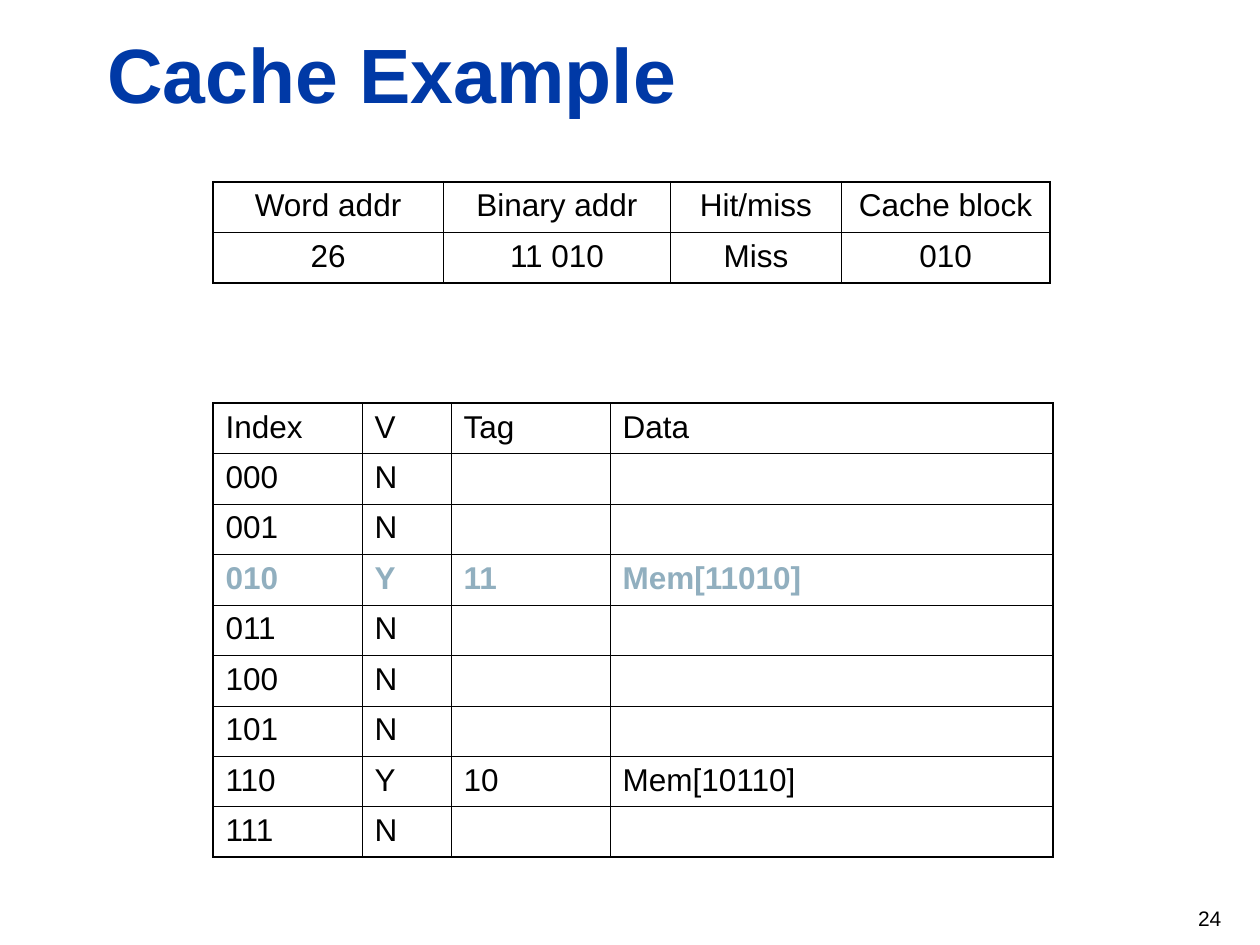
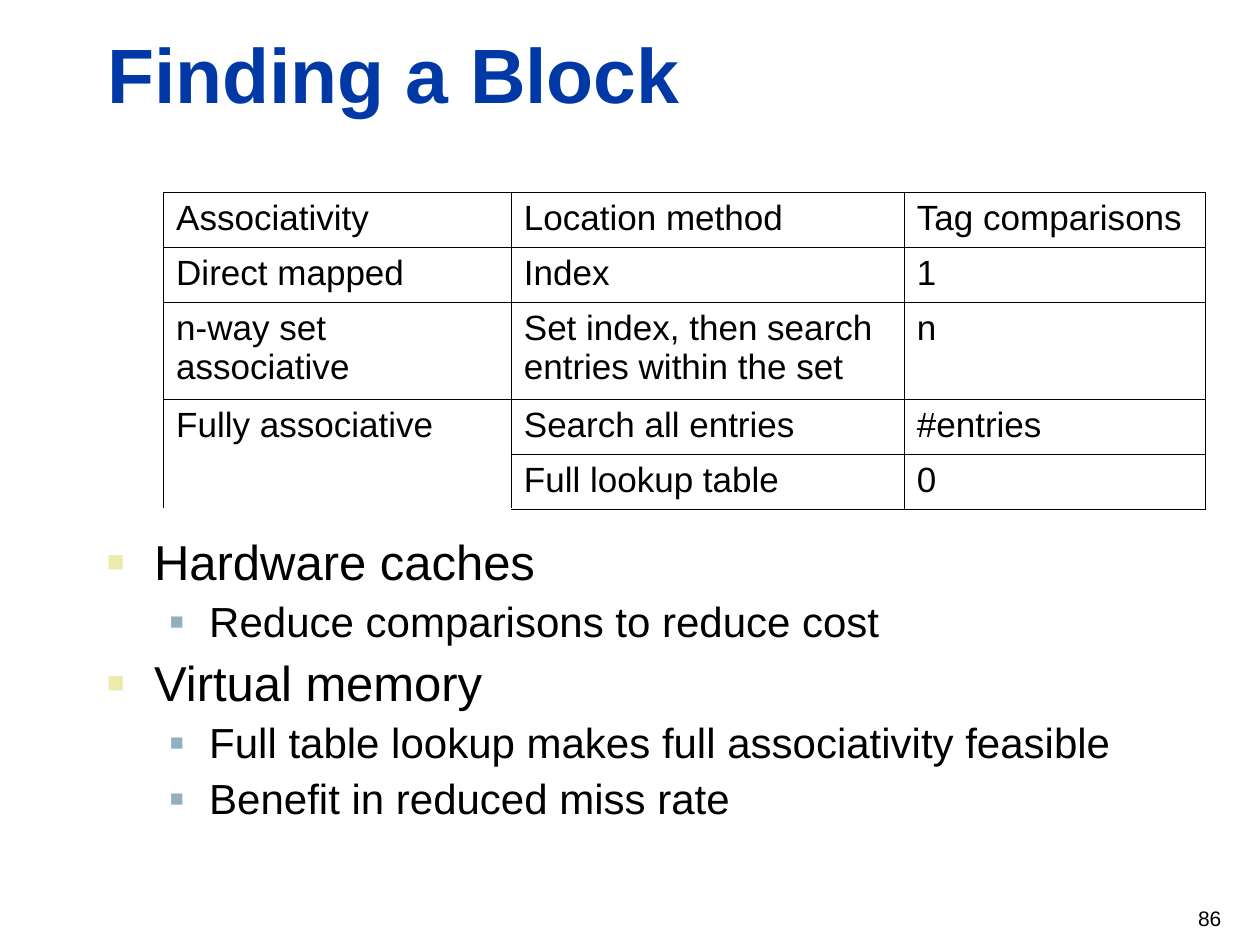
from lxml import etree
from pptx import Presentation
from pptx.dml.color import RGBColor
from pptx.enum.text import MSO_ANCHOR, MSO_AUTO_SIZE, PP_ALIGN
from pptx.oxml.ns import qn
from pptx.util import Pt

FONT = "Arial"
BLACK, BLUE, STEEL, SAND = "000000", "0039A6", "91AFBF", "ECEAAC"
INNER, HEADER, OUTER = 0.45, 0.75, 1.08

# Content
ACCESS = [
    ("Word addr", "Binary addr", "Hit/miss", "Cache block"),
    ("26", "11 010", "Miss", "010"),
]
CACHE = [
    ("Index", "V", "Tag", "Data"),
    ("000", "N", "", ""),
    ("001", "N", "", ""),
    ("010", "Y", "11", "Mem[11010]"),
    ("011", "N", "", ""),
    ("100", "N", "", ""),
    ("101", "N", "", ""),
    ("110", "Y", "10", "Mem[10110]"),
    ("111", "N", "", ""),
]
NEW_ROW = 3
METHODS = [
    ("Associativity", "Location method", "Tag comparisons"),
    ("Direct mapped", "Index", "1"),
    ("n-way set associative", "Set index, then search entries within the set", "n"),
    ("Fully associative", "Search all entries", "#entries"),
    ("", "Full lookup table", "0"),
]
POINTS = [
    (0, "Hardware caches"),
    (1, "Reduce comparisons to reduce cost"),
    (0, "Virtual memory"),
    (1, "Full table lookup makes full associativity feasible"),
    (1, "Benefit in reduced miss rate"),
]
# Per level: size, left margin, hanging indent, space before, bullet colour, bullet percent
LEVELS = [(28, 27, 27, 7, SAND, 60), (24, 58.5, 22.5, 6, STEEL, 55)]


def rgb(color):
    return RGBColor.from_string(color)


def write(p, text, size=18, color=BLACK, bold=False, align=PP_ALIGN.LEFT):
    p.alignment = align
    r = p.add_run()
    r.text = text
    f = r.font
    f.name, f.size, f.bold = FONT, Pt(size), bold
    f.color.rgb = rgb(color)


def add_box(slide, x, y, w, h, anchor=MSO_ANCHOR.TOP):
    tf = slide.shapes.add_textbox(Pt(x), Pt(y), Pt(w), Pt(h)).text_frame
    tf.word_wrap = True
    tf.vertical_anchor = anchor
    return tf


def add_slide(prs, title, number):
    slide = prs.slides.add_slide(prs.slide_layouts[5])
    sp = slide.shapes.title
    sp.left, sp.top, sp.width, sp.height = Pt(54), Pt(11.5), Pt(650), Pt(60)
    tf = sp.text_frame
    tf.auto_size = MSO_AUTO_SIZE.NONE
    tf.vertical_anchor = MSO_ANCHOR.BOTTOM
    write(tf.paragraphs[0], title, size=44, color=BLUE, bold=True)

    tf = add_box(slide, 543, 510, 162, 28.8, MSO_ANCHOR.MIDDLE)
    write(tf.paragraphs[0], str(number), size=12, align=PP_ALIGN.RIGHT)
    return slide


def set_border(cell, side, width):
    ln = etree.SubElement(cell._tc.get_or_add_tcPr(), qn(f"a:ln{side}"), w=str(Pt(width)))
    fill = etree.SubElement(ln, qn("a:solidFill"))
    etree.SubElement(fill, qn("a:srgbClr"), val=BLACK)


def add_grid(slide, rows, x, y, widths, heights, outer=OUTER, header=HEADER,
             marked=None, merge=None, **fmt):
    tbl = slide.shapes.add_table(len(rows), len(widths), Pt(x), Pt(y),
                                 Pt(sum(widths)), Pt(sum(heights))).table
    tbl.first_row = tbl.horz_banding = False
    for col, w in zip(tbl.columns, widths):
        col.width = Pt(w)
    for row, h in zip(tbl.rows, heights):
        row.height = Pt(h)
    if merge:
        first, last = merge
        tbl.cell(*first).merge(tbl.cell(*last))

    def row_line(i):
        return outer if i in (0, len(rows)) else header if i == 1 else INNER

    def col_line(j):
        return outer if j in (0, len(widths)) else INNER

    for i, row in enumerate(rows):
        for j, text in enumerate(row):
            cell = tbl.cell(i, j)
            set_border(cell, "L", col_line(j))
            set_border(cell, "R", col_line(j + 1))
            if not cell.is_spanned:
                set_border(cell, "T", row_line(i))
            if not cell.is_merge_origin:
                set_border(cell, "B", row_line(i + 1))
            cell.fill.background()
            if text:
                mark = {"color": STEEL, "bold": True} if i == marked else {}
                write(cell.text_frame.paragraphs[0], text, **fmt, **mark)


def add_bullets(slide, points, x, y, w, h):
    tf = add_box(slide, x, y, w, h)
    for n, (level, text) in enumerate(points):
        size, margin, hang, before, color, percent = LEVELS[level]
        p = tf.add_paragraph() if n else tf.paragraphs[0]
        p.level = level
        p.line_spacing = 0.9
        if n:
            p.space_before = Pt(before)
        pPr = p._p.get_or_add_pPr()
        pPr.set("marL", str(Pt(margin)))
        pPr.set("indent", str(-Pt(hang)))
        clr = etree.SubElement(pPr, qn("a:buClr"))
        etree.SubElement(clr, qn("a:srgbClr"), val=color)
        etree.SubElement(pPr, qn("a:buSzPct"), val=str(percent * 1000))
        etree.SubElement(pPr, qn("a:buFont"), typeface=FONT)
        etree.SubElement(pPr, qn("a:buChar"), char="■")
        write(p, text, size=size)


def main():
    prs = Presentation()
    prs.slide_width, prs.slide_height = Pt(720), Pt(540)

    # Cache contents after one access
    slide = add_slide(prs, "Cache Example", 24)
    add_grid(slide, CACHE, 121.7, 230.4, [85.2, 50.9, 90.9, 253],
             [28.8] * len(CACHE), marked=NEW_ROW)
    add_grid(slide, ACCESS, 121.7, 103.9, [131.6, 130, 97.4, 119.4],
             [28.8] * len(ACCESS), align=PP_ALIGN.CENTER)

    # Lookup methods by associativity
    slide = add_slide(prs, "Finding a Block", 86)
    add_bullets(slide, POINTS, 54, 304, 651, 187)
    add_grid(slide, METHODS, 93.5, 110, [198.7, 224.6, 172.1],
             [31.4, 31.4, 55.4, 31.4, 31.4], outer=INNER, header=INNER,
             merge=((3, 0), (4, 0)), size=20)

    prs.save("out.pptx")


if __name__ == "__main__":
    main()
